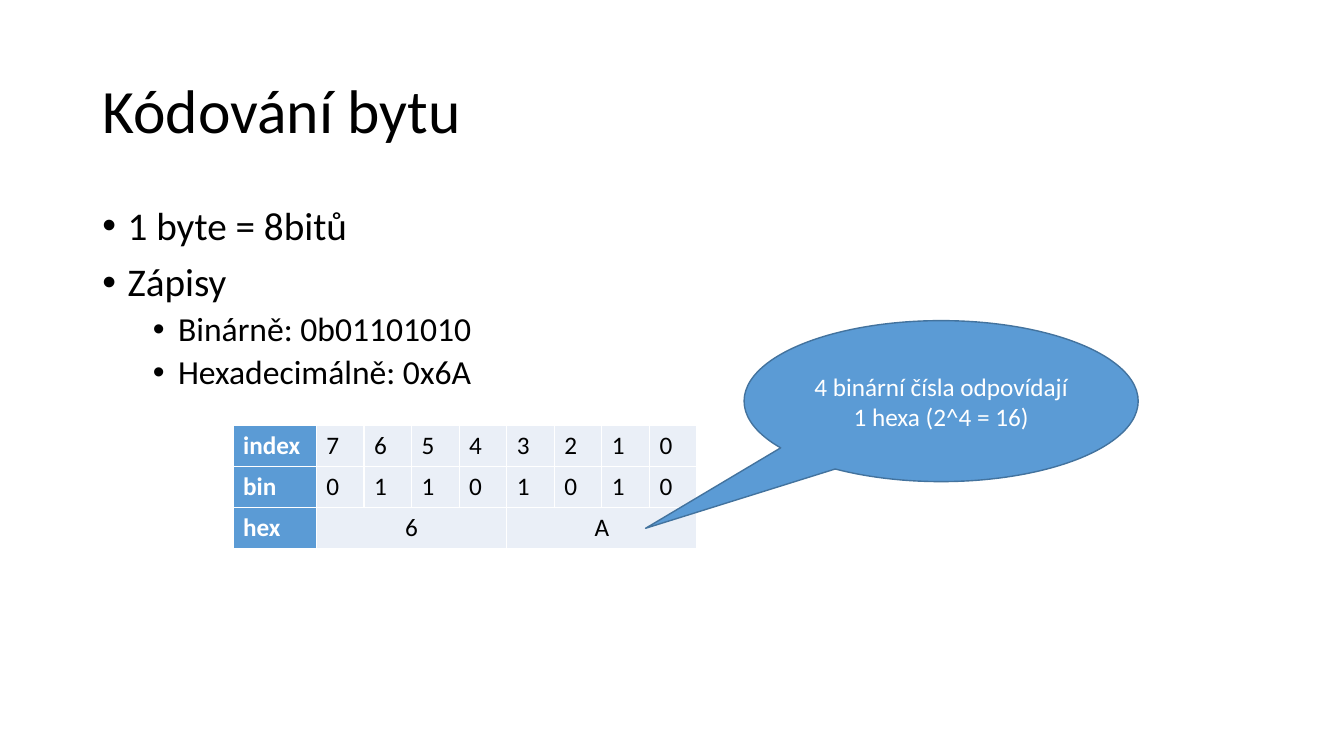
"""Build the slide on how a byte is encoded."""
from lxml.etree import SubElement
from pptx import Presentation
from pptx.dml.color import RGBColor
from pptx.enum.shapes import MSO_SHAPE as Shape
from pptx.enum.text import MSO_ANCHOR as Anchor, MSO_AUTO_SIZE as AutoSize, PP_ALIGN as Align
from pptx.oxml.ns import qn
from pptx.util import Pt

TITLE = "Kódování bytu"
POINTS = [
    (0, "1 byte = 8bitů"),
    (0, "Zápisy"),
    (1, "Binárně: 0b01101010"),
    (1, "Hexadecimálně: 0x6A"),
]
BYTE_ROWS = [("index", "76543210"), ("bin", "01101010"), ("hex", "6A")]
REMARK = "4 binární čísla odpovídají 1 hexa (2^4 = 16)"

FONT = "Calibri"
BLACK, WHITE, BLUE, DARK_BLUE, PALE = "000000", "FFFFFF", "5B9BD5", "43739E", "EAEFF7"
LEVELS = [(28, 10, 18), (24, 5, 54)]
BITS = 8
LABEL_WIDTH, BIT_WIDTH, ROW_HEIGHT = 59.5, 34, 29.2


def rgb(code):
    return RGBColor.from_string(code)


def write(paragraph, text, size, color, bold=False):
    run = paragraph.add_run()
    run.text = text
    font = run.font
    font.name, font.size, font.bold = FONT, Pt(size), bold
    font.color.rgb = rgb(color)


def place(part, left, top, width, height):
    part.left, part.top, part.width, part.height = map(Pt, (left, top, width, height))


def add_bullet(paragraph, indent):
    props = paragraph._p.get_or_add_pPr()
    props.set("marL", str(Pt(indent)))
    props.set("indent", str(Pt(-18)))
    SubElement(props, qn("a:buFont"), typeface="Arial")
    SubElement(props, qn("a:buChar"), char="•")


def dress_cell(cell, fill):
    props = cell._tc.get_or_add_tcPr()
    for side in ("a:lnL", "a:lnR", "a:lnT", "a:lnB"):
        border = SubElement(props, qn(side), w=str(Pt(1)))
        SubElement(SubElement(border, qn("a:solidFill")), qn("a:srgbClr"), val=WHITE)
    cell.fill.solid()
    cell.fill.fore_color.rgb = rgb(fill)


def add_heading(slide):
    heading = slide.shapes.title
    place(heading, 66, 28.8, 828, 104.4)
    frame = heading.text_frame
    frame.auto_size, frame.vertical_anchor = AutoSize.NONE, Anchor.MIDDLE
    line = frame.paragraphs[0]
    line.alignment, line.line_spacing = Align.LEFT, 0.9
    write(line, TITLE, 44, BLACK)


def add_points(slide):
    body = slide.placeholders[1]
    place(body, 66, 144, 828, 342.6)
    frame = body.text_frame
    frame.auto_size = AutoSize.NONE
    for number, (level, text) in enumerate(POINTS):
        point = frame.add_paragraph() if number else frame.paragraphs[0]
        size, before, indent = LEVELS[level]
        point.level = level
        add_bullet(point, indent)
        point.line_spacing = 0.9
        point.space_before = Pt(before if number else 0)
        write(point, text, size, BLACK)


def add_byte_table(slide):
    width, height = LABEL_WIDTH + BITS * BIT_WIDTH, ROW_HEIGHT * len(BYTE_ROWS)
    table = slide.shapes.add_table(
        len(BYTE_ROWS), BITS + 1, Pt(166.5), Pt(304), Pt(width), Pt(height)).table
    for number, column in enumerate(table.columns):
        column.width = Pt(BIT_WIDTH if number else LABEL_WIDTH)
    for row, (label, digits) in enumerate(BYTE_ROWS):
        table.rows[row].height = Pt(ROW_HEIGHT)
        for column in range(BITS + 1):
            dress_cell(table.cell(row, column), PALE if column else BLUE)
        write(table.cell(row, 0).text_frame.paragraphs[0], label, 18, WHITE, True)
        span = BITS // len(digits)
        for number, digit in enumerate(digits):
            first = 1 + number * span
            cell = table.cell(row, first)
            line = cell.text_frame.paragraphs[0]
            if span > 1:
                cell.merge(table.cell(row, first + span - 1))
                line.alignment = Align.CENTER
            write(line, digit, 18, BLACK)


def add_remark(slide):
    bubble = slide.shapes.add_shape(
        Shape.OVAL_CALLOUT, Pt(531.5), Pt(229), Pt(281.5), Pt(115))
    bubble.adjustments[0], bubble.adjustments[1] = -0.75, 0.79
    bubble.shadow.inherit = False
    bubble.fill.solid()
    bubble.fill.fore_color.rgb = rgb(BLUE)
    bubble.line.color.rgb = rgb(DARK_BLUE)
    bubble.line.width = Pt(1)
    frame = bubble.text_frame
    frame.word_wrap, frame.vertical_anchor = True, Anchor.MIDDLE
    line = frame.paragraphs[0]
    line.alignment = Align.CENTER
    write(line, REMARK, 18, WHITE)


def main():
    deck = Presentation()
    deck.slide_width, deck.slide_height = Pt(960), Pt(540)
    slide = deck.slides.add_slide(deck.slide_layouts[1])
    add_heading(slide)
    add_points(slide)
    add_byte_table(slide)
    add_remark(slide)
    deck.save("out.pptx")


if __name__ == "__main__":
    main()
